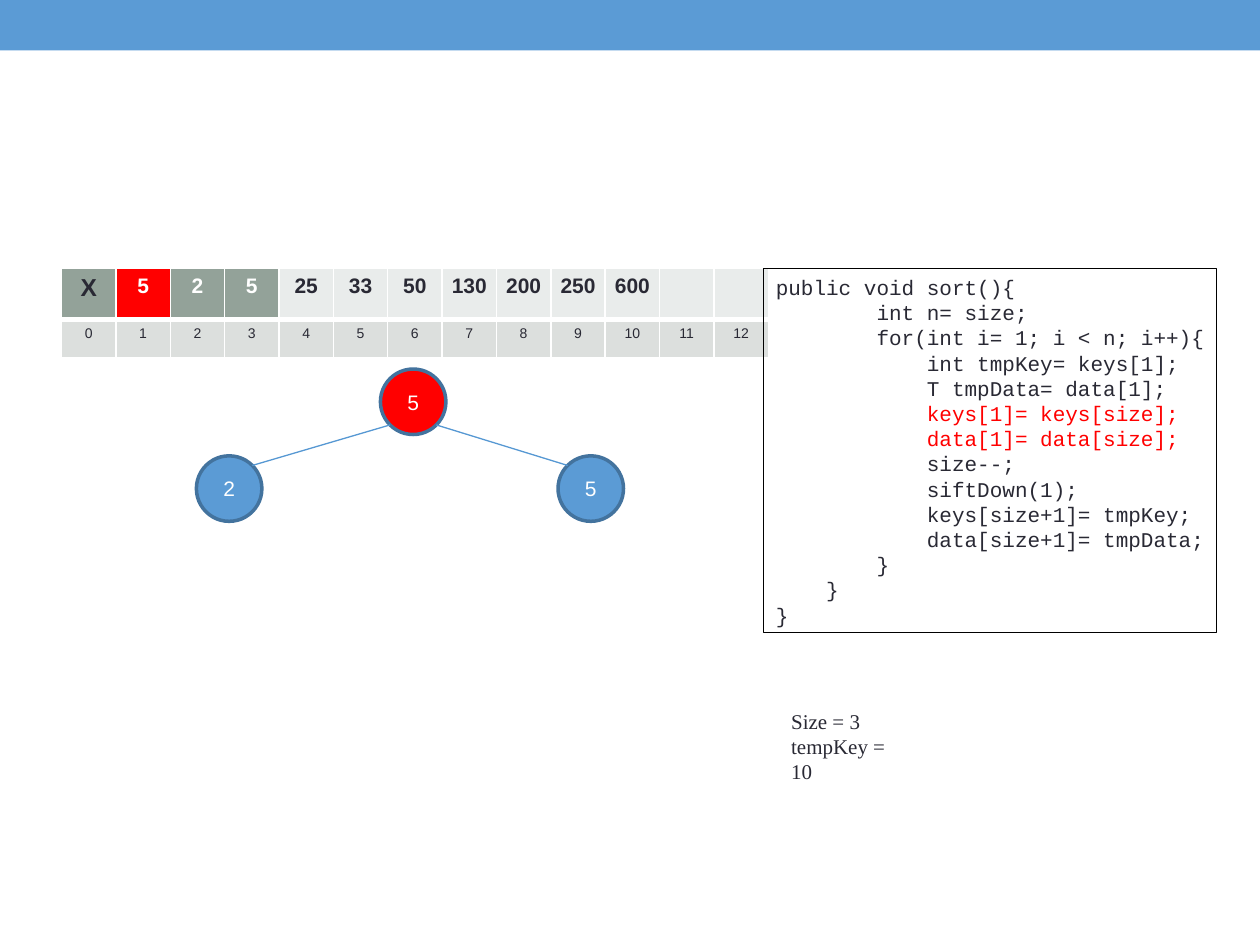
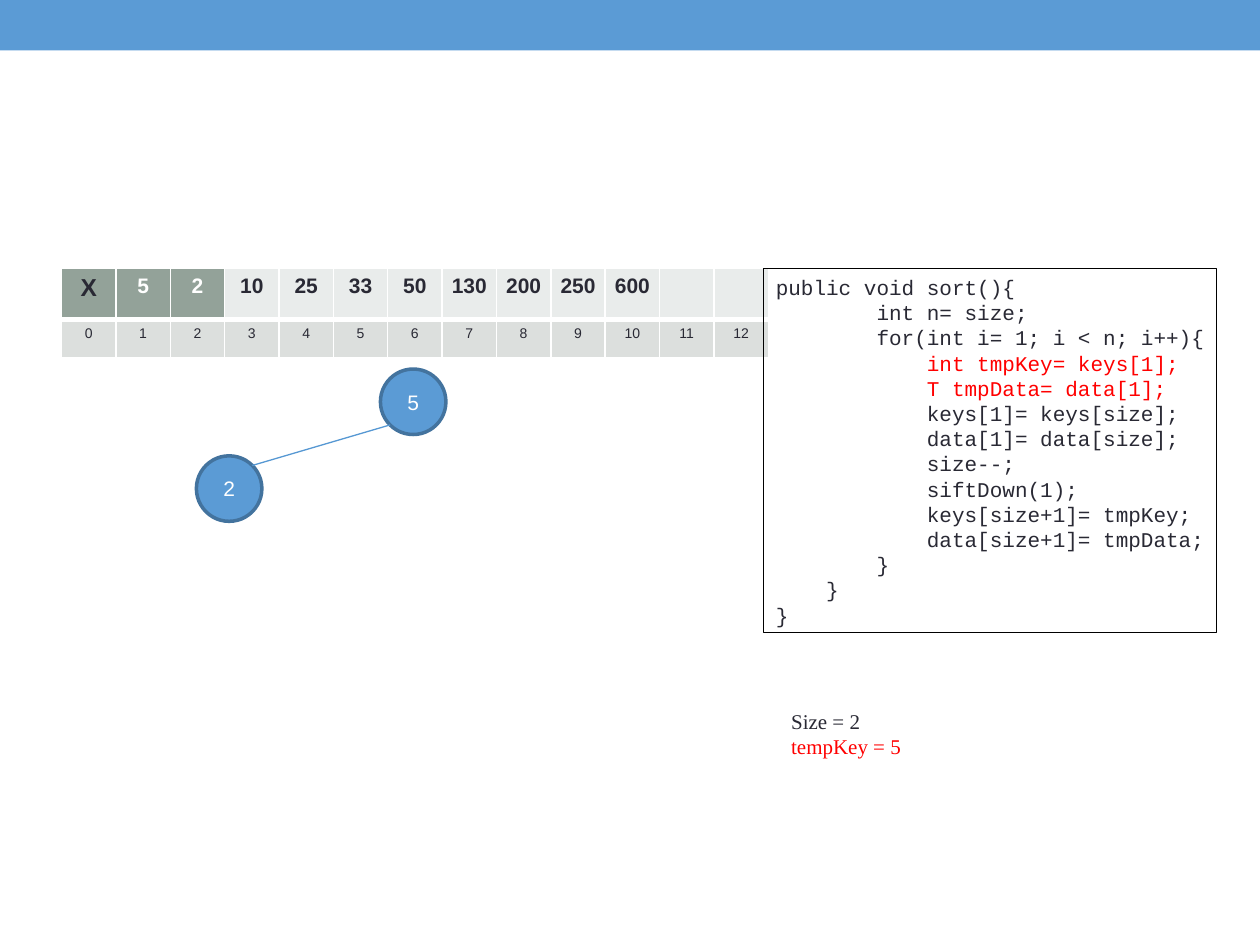
import math

import pptx
import pptx.dml.color
import pptx.enum.shapes
import pptx.enum.text
import pptx.util
from lxml import etree

Cm, Pt = pptx.util.Cm, pptx.util.Pt
ALIGN, ANCHOR = pptx.enum.text.PP_ALIGN, pptx.enum.text.MSO_ANCHOR
KIND = pptx.enum.shapes.MSO_SHAPE
A = "http://schemas.openxmlformats.org/drawingml/2006/main"

BLUE, EDGE, LINK = "5B9BD5", "43739E", "5698D3"
RED, WHITE, DARK, BLACK = "FF0000", "FFFFFF", "292934", "000000"
HEAP, DONE, INDEX = "93A299", "E9ECEB", "DCDFDD"

COLS = 13
NODE = 1.32  # diameter of a tree node, in cm
# Top left corners of the heap nodes, relative to the tree area
SPOTS = {1: (3.71, 0), 2: (0, 1.75), 3: (7.29, 1.75)}

CODE = """public void sort(){
        int n= size;
        for(int i= 1; i < n; i++){
            int tmpKey= keys[1];
            T tmpData= data[1];
            keys[1]= keys[size];
            data[1]= data[size];
            size--;
            siftDown(1);
            keys[size+1]= tmpKey;
            data[size+1]= tmpData;
        }
    }
}""".split("\n")

STEPS = [
    {"keys": ["5", "2", "5", "25", "33", "50", "130", "200", "250", "600"],
     "size": 3, "hot": [1], "lines": [5, 6],
     "notes": [("Size = 3", DARK), ("tempKey = 10", DARK)]},
    {"keys": ["5", "2", "10", "25", "33", "50", "130", "200", "250", "600"],
     "size": 2, "hot": [], "lines": [3, 4],
     "notes": [("Size = 2", DARK), ("tempKey = 5", RED)]},
]


def color(code):
    return pptx.dml.color.RGBColor.from_string(code)


def paint(item, code):
    item.fill.solid()
    item.fill.fore_color.rgb = color(code)


def write(frame, rows, font, align=ALIGN.LEFT, size=12, bold=False):
    """Fill a text frame with (text, colour) rows."""
    for i, (text, code) in enumerate(rows):
        para = frame.paragraphs[0] if i == 0 else frame.add_paragraph()
        para.alignment = align
        run = para.add_run()
        run.text = text
        style = {"name": font, "size": Pt(size), "bold": bold}
        for key, value in style.items():
            setattr(run.font, key, value)
        run.font.color.rgb = color(code)


def shape(slide, kind, box, fill=None, edge=None, width=0.75):
    item = slide.shapes.add_shape(kind, *map(Cm, box))
    item.shadow.inherit = False
    if fill:
        paint(item, fill)
    else:
        item.fill.background()
    if edge:
        item.line.color.rgb = color(edge)
        item.line.width = Pt(width)
    else:
        item.line.fill.background()
    return item


def border(cell, widths):
    """Draw white cell edges; widths maps a side letter to points."""
    props = cell._tc.get_or_add_tcPr()
    for side in "LRTB":
        line = etree.SubElement(props, f"{{{A}}}ln{side}", w=str(Pt(widths.get(side, 0.96))))
        fill = etree.SubElement(line, f"{{{A}}}solidFill")
        etree.SubElement(fill, f"{{{A}}}srgbClr", val=WHITE)


def band(slide, box):
    shape(slide, KIND.RECTANGLE, box, BLUE)


def array(slide, box, step):
    """Key row above an index row; the heap part is darker."""
    table = slide.shapes.add_table(2, COLS, *map(Cm, box)).table
    for col in table.columns:
        col.width = Cm(box[2] / COLS)
    keys = ["X"] + step["keys"]
    for i in range(COLS):
        top, low = table.cell(0, i), table.cell(1, i)
        for cell in (top, low):
            cell.margin_left = cell.margin_right = Cm(0.18)
        border(top, {"B": 3})
        border(low, {"T": 3})
        heap = i <= step["size"]
        paint(top, RED if i in step["hot"] else HEAP if heap else DONE)
        paint(low, INDEX)
        if i < len(keys):
            ink = WHITE if heap and i else DARK
            write(top.text_frame, [(keys[i], ink)], "Arial", ALIGN.CENTER,
                  12 if i else 14, True)
        write(low.text_frame, [(str(i), DARK)], "Arial", ALIGN.CENTER, 8)


def tree(slide, box, step):
    """Heap nodes, each child linked to its parent i // 2."""
    spots = {i: (box[0] + x, box[1] + y)
             for i, (x, y) in SPOTS.items() if i <= step["size"]}
    for i, (x, y) in spots.items():
        node = shape(slide, KIND.OVAL, (x, y, NODE, NODE),
                     RED if i in step["hot"] else BLUE, EDGE, 2)
        node.text_frame.vertical_anchor = ANCHOR.MIDDLE
        write(node.text_frame, [(step["keys"][i - 1], WHITE)], "Arial", ALIGN.CENTER)
    half = NODE / 2
    slant = half * math.sqrt(0.5)
    for i, (x, y) in spots.items():
        if i == 1:
            continue
        px, py = spots[i // 2]
        side = 1 if x > px else -1
        ends = (px + half + side * slant, py + half + slant,
                x + half - side * slant, y + half - slant)
        link = slide.shapes.add_connector(
            pptx.enum.shapes.MSO_CONNECTOR.STRAIGHT, *map(Cm, ends))
        link.line.color.rgb = color(LINK)
        link.line.width = Pt(0.75)
        etree.SubElement(link._element.spPr, f"{{{A}}}effectLst")


def code(slide, box, step):
    frame = shape(slide, KIND.RECTANGLE, box, None, BLACK).text_frame
    frame.word_wrap = False
    frame.vertical_anchor = ANCHOR.TOP
    rows = [(text, RED if i in step["lines"] else DARK) for i, text in enumerate(CODE)]
    write(frame, rows, "Courier New")


def notes(slide, box, step):
    frame = slide.shapes.add_textbox(*map(Cm, box)).text_frame
    frame.word_wrap = False
    write(frame, step["notes"], "Times New Roman")


def main():
    deck = pptx.Presentation()
    deck.slide_width, deck.slide_height = Cm(25.4), Cm(19.05)
    for step in STEPS:
        slide = deck.slides.add_slide(deck.slide_layouts[6])
        band(slide, (0, 0, 25.4, 1.02))
        array(slide, (1.24, 5.41, 14.25, 1.54), step)
        tree(slide, (3.96, 7.44, 8.61, 3.07), step)
        code(slide, (15.39, 5.41, 9.14, 7.34), step)
        notes(slide, (15.7, 14.15, 2.92, 1.27), step)
    deck.save("out.pptx")


if __name__ == "__main__":
    main()
